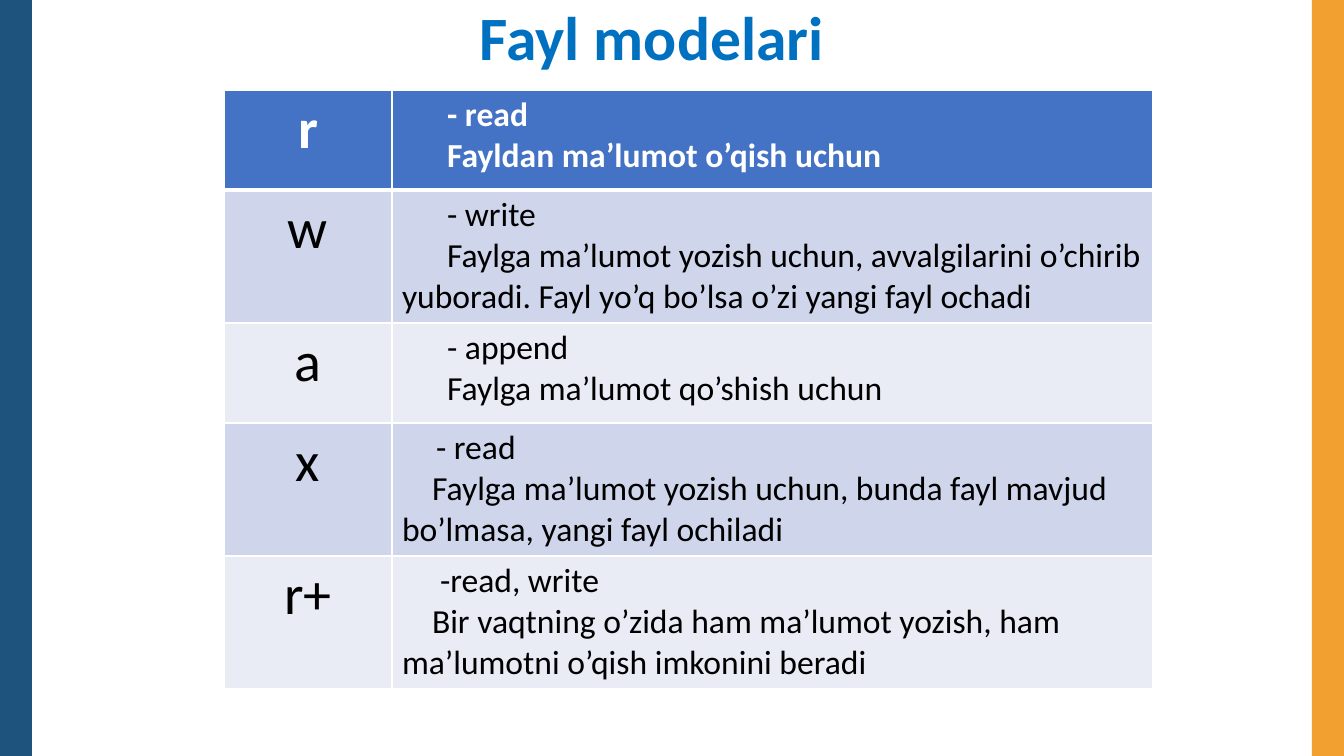
from dataclasses import dataclass

from lxml import etree
from pptx import Presentation
from pptx.dml.color import RGBColor
from pptx.enum.shapes import MSO_SHAPE
from pptx.enum.text import MSO_ANCHOR, PP_ALIGN
from pptx.oxml.ns import qn
from pptx.util import Pt

RECTANGLE = MSO_SHAPE.RECTANGLE
MIDDLE = MSO_ANCHOR.MIDDLE
CENTER, LEFT = PP_ALIGN.CENTER, PP_ALIGN.LEFT
EMU_PER_PX = 914400 / 100.8
SLIDE_WIDTH, SLIDE_HEIGHT = 1344, 756
BAR_WIDTH = 32
COLUMN_WIDTHS = (168, 761)
ROW_HEIGHTS = (100, 133, 100, 133, 133)


@dataclass(frozen=True)
class Theme:
    """Colours, font and type sizes of the slide."""

    font: str = "Calibri"
    left_bar: str = "1D537C"
    right_bar: str = "F2A130"
    title: str = "0070C0"
    header: str = "4472C4"
    bands: tuple = ("E9EBF5", "CFD5EA")
    light: str = "FFFFFF"
    dark: str = "000000"
    title_size: int = 44
    mode_size: int = 40
    body_size: int = 24
    border: int = 1
    header_border: int = 3


THEME = Theme()

MODES = [
    ("r", [("- read", 45), ("Fayldan ma’lumot o’qish uchun", 45)]),
    ("w", [
        ("- write", 45),
        ("Faylga ma’lumot yozish uchun, avvalgilarini o’chirib yuboradi. "
         "Fayl yo’q bo’lsa o’zi yangi fayl ochadi", 45),
    ]),
    ("a", [("- append", 45), ("Faylga ma’lumot qo’shish uchun", 45)]),
    ("x", [
        ("- read", 34),
        ("Faylga ma’lumot yozish uchun, bunda fayl mavjud bo’lmasa, "
         "yangi fayl ochiladi", 30),
    ]),
    ("r+", [
        ("-read, write", 38),
        ("Bir vaqtning o’zida ham ma’lumot yozish, "
         "ham ma’lumotni o’qish imkonini beradi", 30),
    ]),
]


def px(length):
    """Turn pixels into EMU."""
    return round(length * EMU_PER_PX)


def add_text(paragraph, text, size, color, bold, align=LEFT, indent=0):
    """Write one run into a paragraph, with a first-line indent in pixels."""
    paragraph.alignment = align
    if indent:
        properties = paragraph._p.get_or_add_pPr()
        properties.set("marL", "0")
        properties.set("indent", str(px(indent)))
    run = paragraph.add_run()
    run.text = text
    run.font.name = THEME.font
    run.font.size = Pt(size)
    run.font.bold = bold
    run.font.color.rgb = RGBColor.from_string(color)


def add_bar(slide, box, color):
    """Draw a plain vertical bar in the box."""
    shape = slide.shapes.add_shape(RECTANGLE, *map(px, box))
    shape.shadow.inherit = False
    shape.fill.solid()
    shape.fill.fore_color.rgb = RGBColor.from_string(color)
    shape.line.fill.background()


def add_title(slide, box, text):
    """Place the heading in the middle of the box."""
    frame = slide.shapes.add_textbox(*map(px, box)).text_frame
    frame.word_wrap = True
    frame.vertical_anchor = MIDDLE
    frame.margin_top = frame.margin_bottom = 0
    paragraph = frame.paragraphs[0]
    paragraph.line_spacing = 0.9
    add_text(paragraph, text, THEME.title_size, THEME.title, True, CENTER)


def style_cell(cell, fill, widths):
    """Give a cell its borders, by side, and its fill."""
    properties = cell._tc.get_or_add_tcPr()
    for side, width in widths.items():
        line = etree.SubElement(properties, qn(f"a:ln{side}"), w=str(Pt(width)))
        solid = etree.SubElement(line, qn("a:solidFill"))
        etree.SubElement(solid, qn("a:srgbClr"), val=THEME.light)
    cell.fill.solid()
    cell.fill.fore_color.rgb = RGBColor.from_string(fill)


def add_mode_table(slide, left, top):
    """Build the table of file modes with its corner at left, top."""
    box = (left, top, sum(COLUMN_WIDTHS), sum(ROW_HEIGHTS))
    table = slide.shapes.add_table(
        len(MODES), len(COLUMN_WIDTHS), *map(px, box)).table
    for column, width in zip(table.columns, COLUMN_WIDTHS):
        column.width = px(width)
    for index, (mode, lines) in enumerate(MODES):
        table.rows[index].height = px(ROW_HEIGHTS[index])
        header = index == 0
        fill = THEME.header if header else THEME.bands[index % 2]
        color = THEME.light if header else THEME.dark
        widths = dict.fromkeys("LRTB", THEME.border)
        if header:
            widths["B"] = THEME.header_border
        elif index == 1:
            widths["T"] = THEME.header_border
        mode_cell, text_cell = table.rows[index].cells
        for cell in (mode_cell, text_cell):
            style_cell(cell, fill, widths)
        add_text(mode_cell.text_frame.paragraphs[0], mode,
                 THEME.mode_size, color, header, CENTER)
        frame = text_cell.text_frame
        for number, (text, indent) in enumerate(lines):
            paragraph = frame.add_paragraph() if number else frame.paragraphs[0]
            add_text(paragraph, text, THEME.body_size, color, header,
                     indent=indent)


def main():
    """Build the slide and save it."""
    presentation = Presentation()
    presentation.slide_width = px(SLIDE_WIDTH)
    presentation.slide_height = px(SLIDE_HEIGHT)
    slide = presentation.slides.add_slide(presentation.slide_layouts[6])
    add_bar(slide, (0, 0, BAR_WIDTH, SLIDE_HEIGHT), THEME.left_bar)
    add_bar(slide, (SLIDE_WIDTH - BAR_WIDTH, 0, BAR_WIDTH, SLIDE_HEIGHT),
            THEME.right_bar)
    add_title(slide, (68, 0, 1168, 82), "Fayl modelari")
    add_mode_table(slide, 224, 90)
    presentation.save("out.pptx")


if __name__ == "__main__":
    main()
